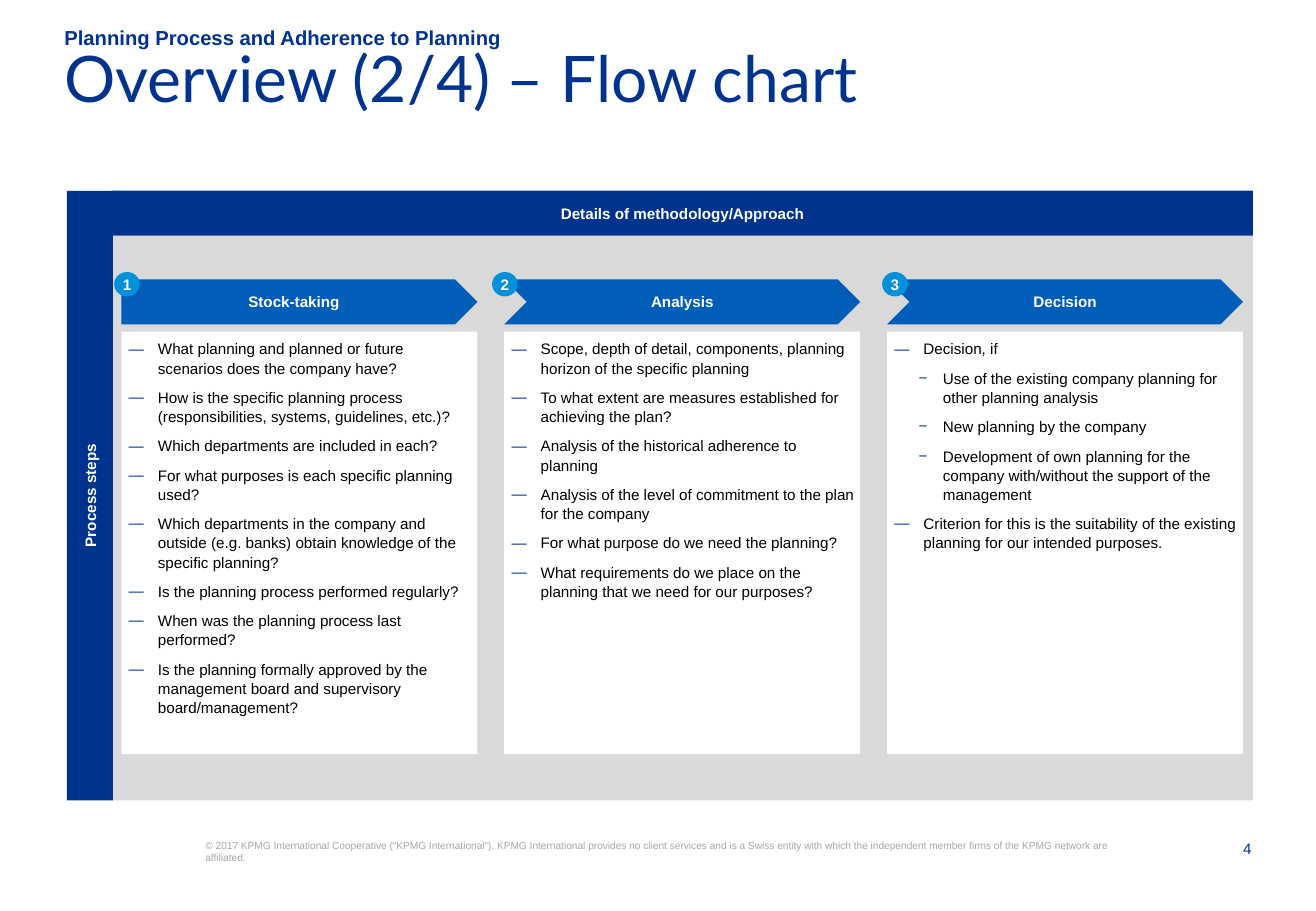
import pptx
import pptx.util
import pptx.dml.color
import pptx.enum.shapes
import pptx.enum.text
import pptx.oxml.ns
import lxml.etree

Inches = pptx.util.Inches
Pt = pptx.util.Pt
SHAPE = pptx.enum.shapes.MSO_SHAPE
ALIGN = pptx.enum.text.PP_ALIGN
ANCHOR = pptx.enum.text.MSO_ANCHOR

COLORS = {
    "navy": "00338D",
    "blue": "005EB8",
    "sky": "0091DA",
    "panel": "D9D9D9",
    "footer": "A6A6A6",
    "white": "FFFFFF",
    "black": "000000",
}

BULLETS = {0: ("—", 0.24, 0.24), 1: ("−", 0.4, 0.2)}

STEPS = [
    ("Stock-taking", SHAPE.PENTAGON, 0.95, [
        (0, "What planning and planned or future scenarios does the company have?"),
        (0, "How is the specific planning process (responsibilities, systems, guidelines, etc.)?"),
        (0, "Which departments are included in each?"),
        (0, "For what purposes is each specific planning used?"),
        (0, "Which departments in the company and outside (e.g. banks) obtain knowledge of the specific planning?"),
        (0, "Is the planning process performed regularly?"),
        (0, "When was the planning process last performed?"),
        (0, "Is the planning formally approved by the management board and supervisory board/management?"),
    ]),
    ("Analysis", SHAPE.CHEVRON, 4.06, [
        (0, "Scope, depth of detail, components, planning horizon of the specific planning"),
        (0, "To what extent are measures established for achieving the plan?"),
        (0, "Analysis of the historical adherence to planning"),
        (0, "Analysis of the level of commitment to the plan for the company"),
        (0, "For what purpose do we need the planning?"),
        (0, "What requirements do we place on the planning that we need for our purposes?"),
    ]),
    ("Decision", SHAPE.CHEVRON, 7.27, [
        (0, "Decision, if"),
        (1, "Use of the existing company planning for other planning analysis"),
        (1, "New planning by the company"),
        (1, "Development of own planning for the company with/without the support of the management"),
        (0, "Criterion for this is the suitability of the existing planning for our intended purposes."),
    ]),
]

COPYRIGHT = (
    "© 2017 KPMG International Cooperative (“KPMG International”). KPMG International provides "
    "no client services and is a Swiss entity with which the independent member firms of the "
    "KPMG network are affiliated."
)


class FlowPage:
    def __init__(self, page, font="Arial", size=9):
        self.page = page
        self.font = font
        self.size = size

    def color(self, name):
        return pptx.dml.color.RGBColor.from_string(COLORS[name])

    def format_para(self, para, color, size=None, bold=False, font=None, align=ALIGN.LEFT):
        para.alignment = align
        for span in para.runs:
            span.font.name = font or self.font
            span.font.size = Pt(size or self.size)
            span.font.bold = bold
            span.font.color.rgb = self.color(color)

    def set_frame(self, frame, anchor=ANCHOR.TOP, insets=(0, 0, 0, 0)):
        frame.word_wrap = True
        frame.auto_size = pptx.enum.text.MSO_AUTO_SIZE.NONE
        frame.vertical_anchor = anchor
        sides = [Inches(inset) for inset in insets]
        frame.margin_left, frame.margin_top, frame.margin_right, frame.margin_bottom = sides

    def placeholder(self, holder, bounds, text, anchor, **style):
        holder.left, holder.top, holder.width, holder.height = map(Inches, bounds)
        self.set_frame(holder.text_frame, anchor)
        holder.text_frame.text = text
        para = holder.text_frame.paragraphs[0]
        para.space_before = Pt(0)
        self.format_para(para, "navy", **style)
        return para

    def text(self, bounds, text, color, **style):
        box = self.page.shapes.add_textbox(*map(Inches, bounds))
        self.set_frame(box.text_frame)
        box.text_frame.text = text
        self.format_para(box.text_frame.paragraphs[0], color, **style)

    def shape(self, kind, bounds, fill, label="", inset=0):
        box = self.page.shapes.add_shape(kind, *map(Inches, bounds))
        box.shadow.inherit = False
        box.fill.solid()
        box.fill.fore_color.rgb = self.color(fill)
        box.line.fill.background()
        if label:
            self.set_frame(box.text_frame, ANCHOR.MIDDLE, (inset,) * 4)
            box.text_frame.text = label
            self.format_para(box.text_frame.paragraphs[0], "white", bold=True, align=ALIGN.CENTER)
        return box

    def badge(self, left, number):
        circle = self.shape(SHAPE.OVAL, (left, 2.25, 0.19, 0.18), "sky", str(number))
        circle.text_frame.word_wrap = False
        circle.line.color.rgb = self.color("sky")
        circle.line.width = Pt(1.5)

    def bullet(self, para, level):
        mark, margin, hanging = BULLETS[level]
        props = para._p.get_or_add_pPr()
        props.set("marL", str(Inches(margin)))
        props.set("indent", str(-Inches(hanging)))
        qn = pptx.oxml.ns.qn
        tint = lxml.etree.SubElement(props, qn("a:buClr"))
        lxml.etree.SubElement(tint, qn("a:srgbClr"), val=COLORS["navy"])
        lxml.etree.SubElement(props, qn("a:buFont"), typeface=self.font)
        lxml.etree.SubElement(props, qn("a:buChar"), char=mark)

    def bullet_list(self, bounds, items):
        frame = self.shape(SHAPE.RECTANGLE, bounds, "white").text_frame
        self.set_frame(frame, insets=(0.06, 0.06, 0.04, 0.06))
        frame.text = "\n".join(text for level, text in items)
        for index, (para, (level, text)) in enumerate(zip(frame.paragraphs, items)):
            self.bullet(para, level)
            para.level = level
            para.line_spacing = 1.05
            para.space_before = Pt(3 if index else 0)
            para.space_after = Pt(3)
            self.format_para(para, "black")


def main():
    deck = pptx.Presentation()
    deck.slide_width = Inches(10.83)
    deck.slide_height = Inches(7.5)
    page = deck.slides.add_slide(deck.slide_layouts[1])
    flow = FlowPage(page)

    title = flow.placeholder(page.shapes.title, (0.53, 0.49, 9.76, 0.79),
                             "Overview (2/4) – Flow chart", ANCHOR.TOP, size=38, font="Lato")
    title.line_spacing = 0.7
    heading = flow.placeholder(page.placeholders[1], (0.53, 0.22, 9.4, 0.19),
                               "Planning Process and Adherence to Planning", ANCHOR.BOTTOM,
                               size=12, bold=True)
    props = heading._p.get_or_add_pPr()
    props.set("marL", "0")
    props.set("indent", "0")
    lxml.etree.SubElement(props, pptx.oxml.ns.qn("a:buNone"))

    flow.shape(SHAPE.RECTANGLE, (0.92, 1.94, 9.39, 4.65), "panel")
    for index, (name, arrow, badge_left, items) in enumerate(STEPS):
        left = 1 + 3.15 * index
        flow.shape(arrow, (left, 2.3, 2.93, 0.37), "blue", name)
        flow.bullet_list((left, 2.73, 2.93, 3.48), items)
        flow.badge(badge_left, index + 1)

    flow.shape(SHAPE.RECTANGLE, (0.92, 1.57, 9.39, 0.37), "navy",
               "Details of methodology/Approach", 0.06)
    side_bar = flow.shape(SHAPE.RECTANGLE, (-1.77, 3.89, 5.02, 0.38), "navy", "Process steps", 0.06)
    side_bar.rotation = 270

    flow.text((1.69, 6.91, 7.49, 0.41), COPYRIGHT, "footer", size=6)
    flow.text((9.87, 6.91, 0.43, 0.16), "4", "navy", align=ALIGN.RIGHT)
    deck.save("out.pptx")


if __name__ == "__main__":
    main()
